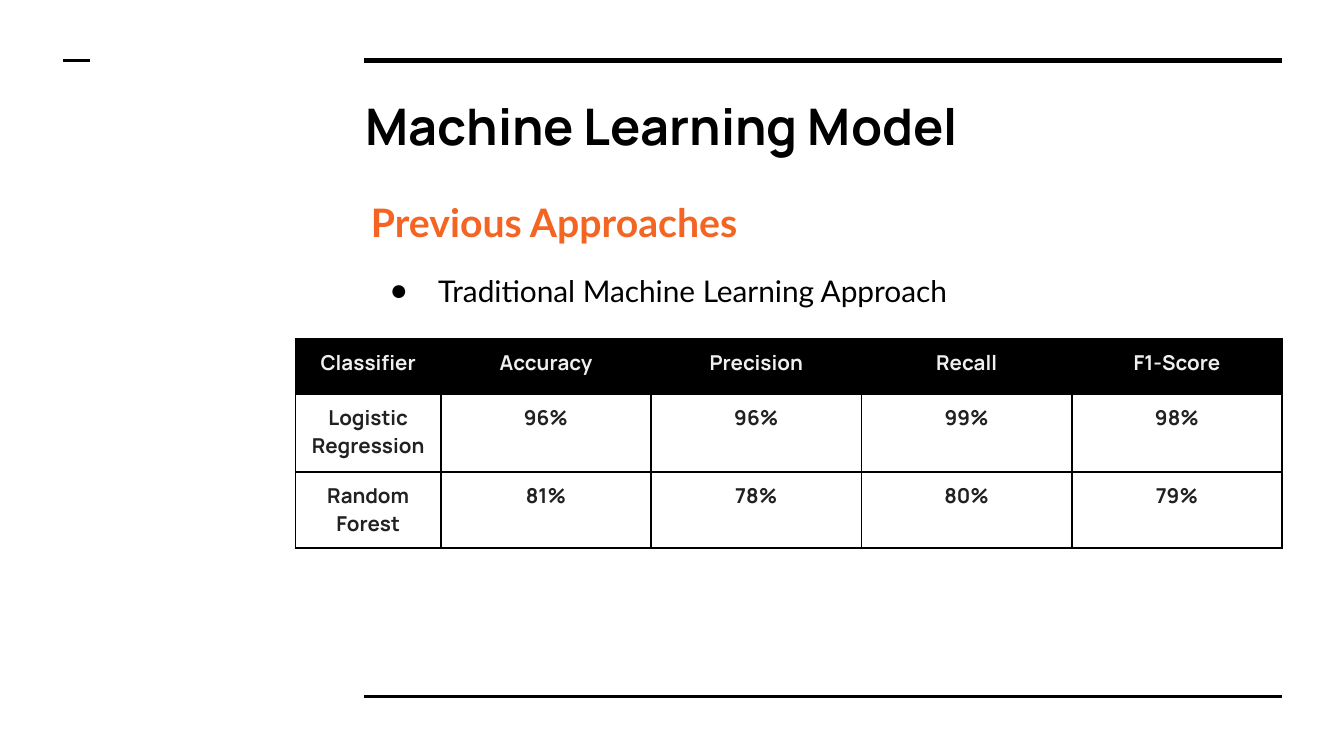
from lxml.etree import SubElement
from pptx import Presentation
from pptx.dml.color import RGBColor
from pptx.enum.shapes import MSO_CONNECTOR
from pptx.enum.text import MSO_ANCHOR, MSO_AUTO_SIZE, PP_ALIGN
from pptx.oxml import parse_xml
from pptx.oxml.ns import nsdecls, qn
from pptx.util import Inches, Pt

BLACK = RGBColor(0x00, 0x00, 0x00)
ORANGE = RGBColor(0xF4, 0x65, 0x24)
HEADER_TEXT = RGBColor(0xEF, 0xEF, 0xEF)
CELL_TEXT = RGBColor(0x21, 0x21, 0x21)

SCORES = [
    ("Classifier", "Accuracy", "Precision", "Recall", "F1-Score"),
    ("Logistic Regression", "96%", "96%", "99%", "98%"),
    ("Random Forest", "81%", "78%", "80%", "79%"),
]
TABLE_WIDTH = 7.34
CLASSIFIER_WIDTH = 1.08
SCORE_WIDTH = (TABLE_WIDTH - CLASSIFIER_WIDTH) / 4
COLUMN_WIDTHS = [CLASSIFIER_WIDTH] + [SCORE_WIDTH] * 4
ROW_HEIGHTS = [0.41, 0.58, 0.57]


def write(paragraph, text, *, font, size, color, bold=False,
          align=PP_ALIGN.LEFT, spacing=1.0, before=0):
    """Put one formatted run into a paragraph."""
    paragraph.alignment = align
    paragraph.line_spacing = spacing
    paragraph.space_before = Pt(before)
    run = paragraph.add_run()
    run.text = text
    run.font.name = font
    run.font.size = Pt(size)
    run.font.bold = bold
    run.font.color.rgb = color


def set_bullet(paragraph, char=None, left=0, indent=0):
    """Give a paragraph a black bullet, or none, with its indents."""
    properties = paragraph._p.get_or_add_pPr()
    properties.set("marL", str(Inches(left)))
    properties.set("indent", str(Inches(indent)))
    if char is None:
        SubElement(properties, qn("a:buNone"))
        return
    bullet_color = SubElement(properties, qn("a:buClr"))
    SubElement(bullet_color, qn("a:srgbClr")).set("val", str(BLACK))
    SubElement(properties, qn("a:buChar")).set("char", char)


def add_rule(slide, left, right, y, weight):
    """Draw a horizontal black rule."""
    rule = slide.shapes.add_connector(
        MSO_CONNECTOR.STRAIGHT, Inches(left), Inches(y), Inches(right), Inches(y))
    rule.line.color.rgb = BLACK
    rule.line.width = Pt(weight)
    SubElement(rule._element.spPr, qn("a:effectLst"))


def place(placeholder, left, top, width, height):
    """Move a placeholder and return its text frame."""
    placeholder.left, placeholder.top = Inches(left), Inches(top)
    placeholder.width, placeholder.height = Inches(width), Inches(height)
    frame = placeholder.text_frame
    frame.auto_size = MSO_AUTO_SIZE.NONE
    frame.word_wrap = True
    frame.vertical_anchor = MSO_ANCHOR.TOP
    frame.margin_left = frame.margin_right = Inches(0.1)
    frame.margin_top = frame.margin_bottom = Inches(0.1)
    return frame


def set_borders(cell):
    """Outline a cell in black; borders come before the fill."""
    properties = cell._tc.get_or_add_tcPr()
    for position, side in enumerate(("lnL", "lnR", "lnT", "lnB")):
        properties.insert(position, parse_xml(
            f'<a:{side} {nsdecls("a")} w="{Pt(1)}"><a:solidFill>'
            f'<a:srgbClr val="{BLACK}"/></a:solidFill></a:{side}>'))


def add_score_table(slide, left, top):
    """Add the table of scores with a black header row."""
    table = slide.shapes.add_table(
        len(SCORES), len(COLUMN_WIDTHS), Inches(left), Inches(top),
        Inches(TABLE_WIDTH), Inches(sum(ROW_HEIGHTS))).table
    table.first_row = table.horz_banding = False
    for column, width in zip(table.columns, COLUMN_WIDTHS):
        column.width = Inches(width)
    for row, height in zip(table.rows, ROW_HEIGHTS):
        row.height = Inches(height)

    for r, scores in enumerate(SCORES):
        is_header = r == 0
        for c, score in enumerate(scores):
            cell = table.cell(r, c)
            cell.margin_left = cell.margin_right = Inches(0.07)
            cell.margin_top = cell.margin_bottom = Inches(0.07)
            if is_header:
                cell.fill.solid()
                cell.fill.fore_color.rgb = BLACK
            else:
                cell.fill.background()
            set_borders(cell)
            write(cell.text_frame.paragraphs[0], score, font="Manrope", size=11,
                  color=HEADER_TEXT if is_header else CELL_TEXT,
                  bold=True, align=PP_ALIGN.CENTER)


def main():
    presentation = Presentation()
    presentation.slide_width = Inches(10)
    presentation.slide_height = Inches(10 * 9 / 16)
    slide = presentation.slides.add_slide(presentation.slide_layouts[1])

    # Frame rules
    add_rule(slide, 2.71, 9.54, 0.45, 3)
    add_rule(slide, 2.71, 9.54, 5.18, 1.5)
    add_rule(slide, 0.47, 0.67, 0.45, 1.5)

    # Title
    title = place(slide.shapes.title, 2.62, 0.61, 6.91, 0.69)
    write(title.paragraphs[0], "Machine Learning Model",
          font="Manrope", size=27, color=BLACK, bold=True)

    # Subheading and bullet
    body = place(slide.placeholders[1], 2.66, 1.32, 6.83, 1.2)
    subheading, approach = body.paragraphs[0], body.add_paragraph()
    write(subheading, "Previous Approaches", font="Lato", size=21,
          color=ORANGE, bold=True, spacing=1.15)
    set_bullet(subheading)
    write(approach, "Traditional Machine Learning Approach", font="Lato",
          size=16, color=BLACK, spacing=1.15, before=12)
    set_bullet(approach, "●", left=0.5, indent=-0.36)

    # Classifier scores
    add_score_table(slide, 2.2, 2.52)

    presentation.save("out.pptx")


if __name__ == "__main__":
    main()
